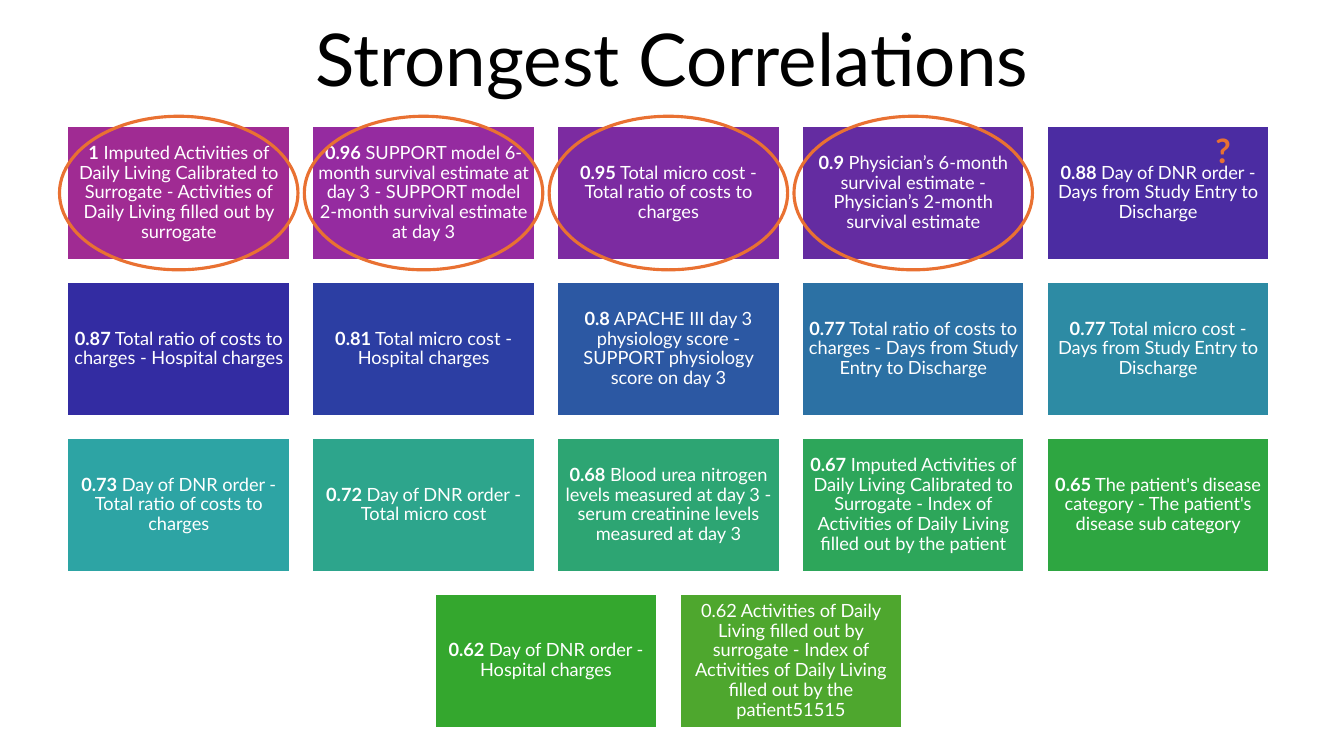
"""Build a slide of the strongest correlations as a grid of coloured cards."""
from colorsys import hls_to_rgb, rgb_to_hls
from dataclasses import dataclass

from pptx import Presentation
from pptx import util as u
from pptx.dml.color import RGBColor
from pptx.enum import shapes, text

COLORS = {
    "first_card": "A02B93",
    "last_card": "4EA72E",
    "white": "FFFFFF",
    "black": "000000",
    "accent": "E97132",
}
FONT = "Lato"
COLUMNS = 5
GRID_LEFT, GRID_TOP = 1.7, 3.18
CARD_WIDTH, CARD_HEIGHT = 5.61, 3.37
PITCH_X, PITCH_Y = 6.17, 3.93
CIRCLED_CARDS = 4


@dataclass(frozen=True)
class Frame:
    left: float
    top: float
    width: float
    height: float

    def lengths(self) -> tuple:
        return tuple(map(u.Cm, (self.left, self.top, self.width, self.height)))

    def grown(self, dx: float, dy: float) -> "Frame":
        return Frame(self.left - dx, self.top - dy,
                     self.width + 2 * dx, self.height + 2 * dy)


@dataclass(frozen=True)
class Correlation:
    value: str
    pair: str
    bold_value: bool = True


@dataclass(frozen=True)
class Span:
    wording: str
    size: float
    color: str
    bold: bool = False


CORRELATIONS = [
    Correlation("1", "Imputed Activities of Daily Living Calibrated to Surrogate - "
                "Activities of Daily Living filled out by surrogate"),
    Correlation("0.96", "SUPPORT model 6-month survival estimate at day 3 - "
                "SUPPORT model 2-month survival estimate at day 3"),
    Correlation("0.95", "Total micro cost - Total ratio of costs to charges"),
    Correlation("0.9", "Physician’s 6-month survival estimate - "
                "Physician’s 2-month survival estimate"),
    Correlation("0.88", "Day of DNR order - Days from Study Entry to Discharge"),
    Correlation("0.87", "Total ratio of costs to charges - Hospital charges"),
    Correlation("0.81", "Total micro cost - Hospital charges"),
    Correlation("0.8", "APACHE III day 3 physiology score - "
                "SUPPORT physiology score on day 3"),
    Correlation("0.77", "Total ratio of costs to charges - "
                "Days from Study Entry to Discharge"),
    Correlation("0.77", "Total micro cost - Days from Study Entry to Discharge"),
    Correlation("0.73", "Day of DNR order - Total ratio of costs to charges"),
    Correlation("0.72", "Day of DNR order - Total micro cost"),
    Correlation("0.68", "Blood urea nitrogen levels measured at day 3 - "
                "serum creatinine levels measured at day 3"),
    Correlation("0.67", "Imputed Activities of Daily Living Calibrated to Surrogate - "
                "Index of Activities of Daily Living filled out by the patient"),
    Correlation("0.65", "The patient's disease category - "
                "The patient's disease sub category"),
    Correlation("0.62", "Day of DNR order - Hospital charges"),
    Correlation("0.62", "Activities of Daily Living filled out by surrogate - "
                "Index of Activities of Daily Living filled out by the patient51515",
                bold_value=False),
]


def rgb(name: str) -> RGBColor:
    return RGBColor.from_string(COLORS[name])


def card_color(index: int) -> RGBColor:
    first, last = (rgb_to_hls(*(part / 255 for part in rgb(name)))
                   for name in ("first_card", "last_card"))
    share = index / (len(CORRELATIONS) - 1)
    blend = (start + (end - start) * share for start, end in zip(first, last))
    return RGBColor(*(round(part * 255) for part in hls_to_rgb(*blend)))


def card_frame(index: int) -> Frame:
    row, column = divmod(index, COLUMNS)
    cards_in_row = min(COLUMNS, len(CORRELATIONS) - row * COLUMNS)
    indent = (COLUMNS - cards_in_row) / 2
    return Frame(GRID_LEFT + (column + indent) * PITCH_X,
                 GRID_TOP + row * PITCH_Y, CARD_WIDTH, CARD_HEIGHT)


def write(box, spans: list[Span], centred: bool = True, margin: float | None = None) -> None:
    frame = box.text_frame
    frame.word_wrap = True
    if margin is not None:
        frame.margin_left = frame.margin_right = u.Cm(margin)
        frame.margin_top = frame.margin_bottom = u.Cm(margin)
    para = frame.paragraphs[0]
    if centred:
        frame.vertical_anchor = text.MSO_ANCHOR.MIDDLE
        para.alignment = text.PP_ALIGN.CENTER
        para.line_spacing = 0.9
    for span in spans:
        run = para.add_run()
        run.text = span.wording
        run.font.name = FONT
        run.font.size = u.Pt(span.size)
        run.font.bold = span.bold
        run.font.color.rgb = rgb(span.color)


def add_outlined(page, kind: shapes.MSO_SHAPE, frame: Frame, line: str, weight: float):
    shape = page.shapes.add_shape(kind, *frame.lengths())
    shape.shadow.inherit = False
    shape.line.color.rgb = rgb(line)
    shape.line.width = u.Pt(weight)
    return shape


def add_card(page, index: int, correlation: Correlation) -> None:
    card = add_outlined(page, shapes.MSO_SHAPE.RECTANGLE, card_frame(index), "white", 1.5)
    card.fill.solid()
    card.fill.fore_color.rgb = card_color(index)
    write(card, [Span(correlation.value, 13, "white", correlation.bold_value),
                 Span(f" {correlation.pair}", 13, "white")], margin=0.13)


def add_circle(page, index: int) -> None:
    frame = card_frame(index).grown(0.2, 0.25)
    circle = add_outlined(page, shapes.MSO_SHAPE.OVAL, frame, "accent", 2.25)
    circle.fill.background()


def main() -> None:
    deck = Presentation()
    deck.slide_width, deck.slide_height = u.Cm(33.87), u.Cm(19.05)
    page = deck.slides.add_slide(deck.slide_layouts[6])

    title = page.shapes.add_textbox(*Frame(2.33, 0, 29.21, 3.15).lengths())
    write(title, [Span("Strongest Correlations", 52, "black")])
    for index, correlation in enumerate(CORRELATIONS):
        add_card(page, index, correlation)
    for index in range(CIRCLED_CARDS):
        add_circle(page, index)
    question = page.shapes.add_textbox(*Frame(30.38, 3.15, 1.55, 1.27).lengths())
    write(question, [Span("?", 24, "accent", True)], centred=False)

    deck.save("out.pptx")


if __name__ == "__main__":
    main()
